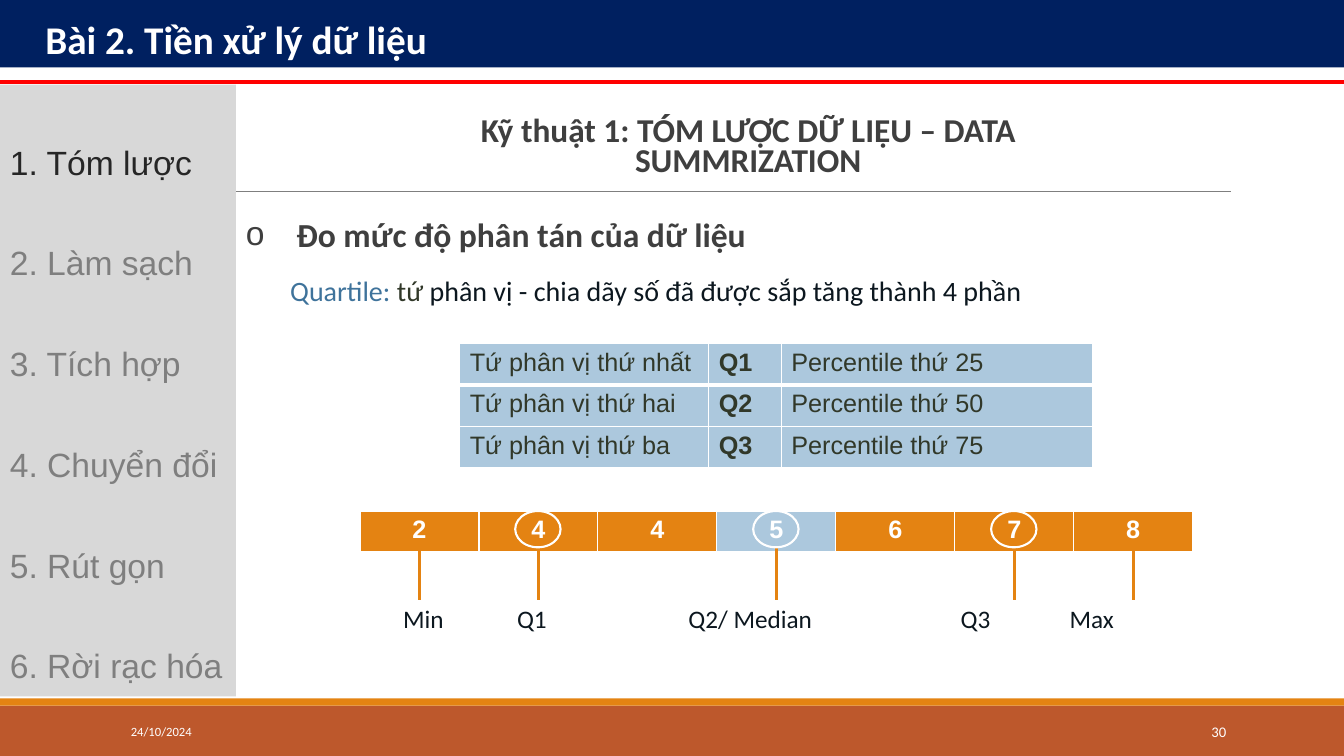
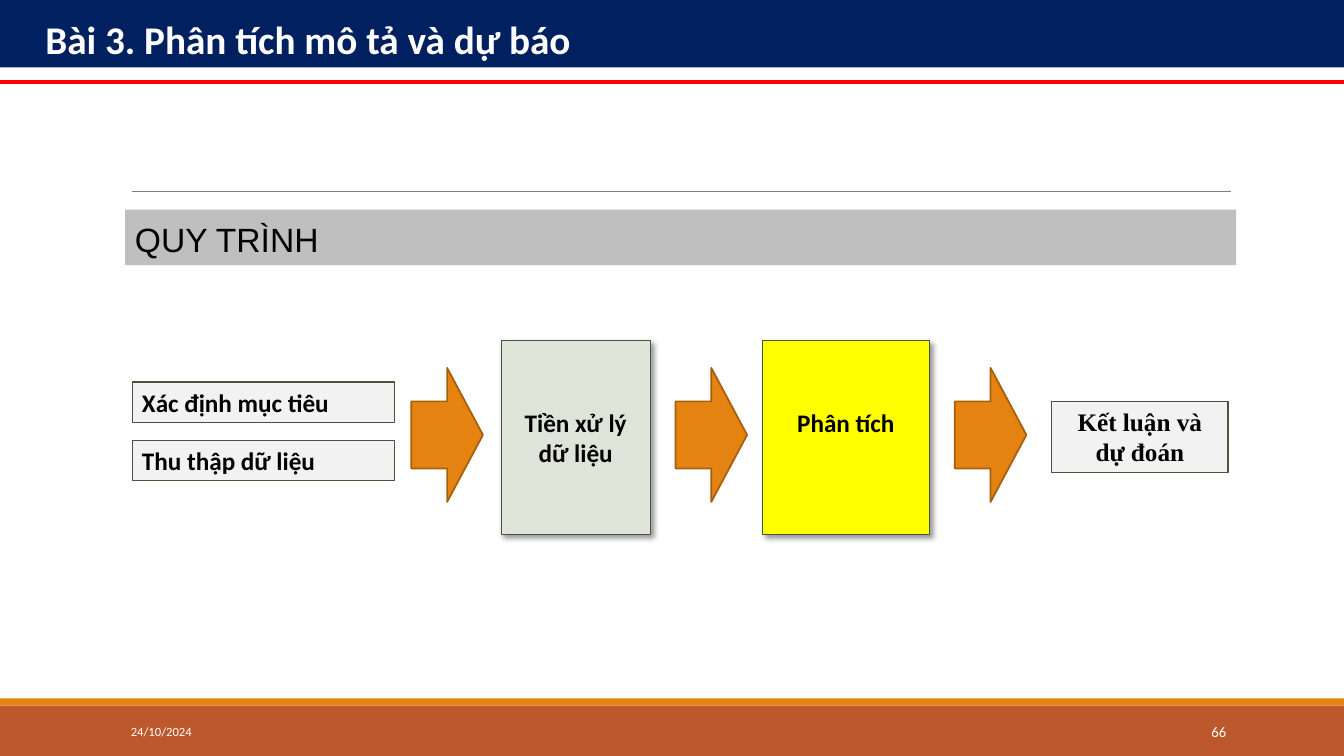
import lxml.etree
import pptx
import pptx.dml.color
import pptx.enum.shapes
import pptx.enum.text
import pptx.oxml.ns
import pptx.util

Inches = pptx.util.Inches
Pt = pptx.util.Pt
qn = pptx.oxml.ns.qn
ALIGN = pptx.enum.text.PP_ALIGN
ANCHOR = pptx.enum.text.MSO_ANCHOR
SHAPE = pptx.enum.shapes.MSO_SHAPE

COLORS = {
    "navy": "002060", "red": "FF0000", "rust": "BD582C", "orange": "E48312",
    "brown": "A65F0D", "white": "FFFFFF", "black": "000000", "charcoal": "3F3F3F",
    "ink": "262626", "gray": "7F7F7F", "sidebar": "D8D8D8", "band": "BFBFBF",
    "pale": "F2F2F2", "sage": "DFE4D9", "yellow": "FFFF00", "olive": "4A533D",
    "blue": "3F739B", "moss": "313829", "midnight": "0C171F", "sky": "ACC8DD",
}


def rgb(name):
    return pptx.dml.color.RGBColor.from_string(COLORS[name])


def add_node(parent, tag, **attributes):
    return lxml.etree.SubElement(parent, qn(tag), attributes)


class Deck:
    width, height = 13.33, 7.5

    def __init__(self):
        self.presentation = pptx.Presentation()
        self.presentation.slide_width = Inches(self.width)
        self.presentation.slide_height = Inches(self.height)
        self.slide = None

    def start_slide(self, title, number):
        layout = self.presentation.slide_layouts[6]
        self.slide = self.presentation.slides.add_slide(layout)
        self.box(0, 7, self.width, 0.5, "rust")
        self.box(0, 6.93, self.width, 0.07, "orange")
        self.line(1.31, 1.9, 12.21, 1.9, "gray", 0.75)
        self.line(0, 0.81, self.width, 0.81, "red", 3)
        banner = self.box(0, 0, self.width, 0.67, "navy")
        self.fill_text(banner, [title], 28, "white", bold=True, anchor=ANCHOR.BOTTOM,
                       spacing=0.85, left_inset=0.45)
        self.text(1.2, 7.06, 2.7, 0.4, ["24/10/2024"], 9, "white", anchor=ANCHOR.MIDDLE)
        self.text(10.83, 7.06, 1.43, 0.4, [number], 10.5, "white",
                  anchor=ANCHOR.MIDDLE, align=ALIGN.RIGHT)

    def box(self, left, top, width, height, fill=None, outline=None, weight=0.75,
            kind=SHAPE.RECTANGLE, shadow=False):
        shape = self.slide.shapes.add_shape(
            kind, Inches(left), Inches(top), Inches(width), Inches(height))
        shape.shadow.inherit = False
        if fill:
            shape.fill.solid()
            shape.fill.fore_color.rgb = rgb(fill)
        else:
            shape.fill.background()
        if outline:
            shape.line.color.rgb = rgb(outline)
            shape.line.width = Pt(weight)
        else:
            shape.line.fill.background()
        if shadow:
            effects = shape.element.spPr.find(qn("a:effectLst"))
            outer = add_node(effects, "a:outerShdw", blurRad=str(Pt(4)), dist=str(Pt(3)),
                             dir="2700000", algn="tl", rotWithShape="0")
            color = add_node(outer, "a:srgbClr", val=COLORS["black"])
            add_node(color, "a:alpha", val="40000")
        return shape

    def line(self, x1, y1, x2, y2, color, weight):
        connector = self.slide.shapes.add_connector(
            pptx.enum.shapes.MSO_CONNECTOR.STRAIGHT,
            Inches(x1), Inches(y1), Inches(x2), Inches(y2))
        connector.line.color.rgb = rgb(color)
        connector.line.width = Pt(weight)
        add_node(connector.element.spPr, "a:effectLst")

    def text(self, left, top, width, height, paragraphs, size, color, **style):
        shape = self.slide.shapes.add_textbox(
            Inches(left), Inches(top), Inches(width), Inches(height))
        self.fill_text(shape, paragraphs, size, color, **style)

    def fill_text(self, shape, paragraphs, size, color, font="Calibri", bold=False,
                  align=ALIGN.LEFT, anchor=ANCHOR.TOP, spacing=1.0, space_before=0,
                  left_inset=0.1, top_inset=0.05, bullet=None):
        frame = shape.text_frame
        frame.word_wrap = True
        frame.vertical_anchor = anchor
        frame.margin_left, frame.margin_top = Inches(left_inset), Inches(top_inset)
        for index, content in enumerate(paragraphs):
            paragraph = frame.paragraphs[0] if index == 0 else frame.add_paragraph()
            paragraph.alignment = align
            paragraph.line_spacing = spacing
            if index:
                paragraph.space_before = Pt(space_before)
            if bullet:
                properties = paragraph._p.get_or_add_pPr()
                properties.set("marL", str(Inches(0.5)))
                properties.set("indent", str(-Inches(0.5)))
                add_node(properties, "a:buFont", typeface="Arial")
                add_node(properties, "a:buChar", char=bullet)
            runs = [(content, color)] if isinstance(content, str) else content
            for words, run_color in runs:
                self.add_run(paragraph, words, size, run_color, font, bold)

    def add_run(self, paragraph, words, size, color, font, bold):
        run = paragraph.add_run()
        run.text = words
        run.font.name = font
        run.font.size = Pt(size)
        run.font.bold = bold
        run.font.color.rgb = rgb(color)

    def table(self, left, top, widths, row_height, rows, color, align=ALIGN.LEFT):
        shape = self.slide.shapes.add_table(
            len(rows), len(widths), Inches(left), Inches(top),
            Inches(sum(widths)), Inches(row_height * len(rows)))
        table = shape.table
        table.first_row = table.horz_banding = False
        for column, width in zip(table.columns, widths):
            column.width = Inches(width)
        for row_index, row in enumerate(rows):
            for column_index, (words, fill, bold) in enumerate(row):
                cell = table.cell(row_index, column_index)
                self.add_borders(cell, top=3 if row_index == 1 else 1,
                                 bottom=3 if row_index == 0 else 1)
                cell.fill.solid()
                cell.fill.fore_color.rgb = rgb(fill)
                paragraph = cell.text_frame.paragraphs[0]
                paragraph.alignment = align
                self.add_run(paragraph, words, 18, color, "Arial", bold)

    def add_borders(self, cell, top, bottom):
        properties = cell._tc.get_or_add_tcPr()
        for side, weight in (("L", 1), ("R", 1), ("T", top), ("B", bottom)):
            border = add_node(properties, f"a:ln{side}", w=str(Pt(weight)))
            add_node(add_node(border, "a:solidFill"), "a:srgbClr", val=COLORS["white"])


def build_quartile_slide(deck):
    deck.start_slide("Bài 2. Tiền xử lý dữ liệu", "30")
    deck.text(3.73, 1.39, 7.38, 0.43, ["Kỹ thuật 1: TÓM LƯỢC DỮ LIỆU – DATA SUMMRIZATION"],
              23.8, "charcoal", bold=True, align=ALIGN.CENTER, anchor=ANCHOR.BOTTOM,
              spacing=0.75)
    steps = ["1. Tóm lược", "2. Làm sạch", "3. Tích hợp", "4. Chuyển đổi",
             "5. Rút gọn", "6. Rời rạc hóa"]
    step_runs = [[(step, "gray" if index else "ink")] for index, step in enumerate(steps)]
    deck.fill_text(deck.box(0, 0.84, 2.34, 6.07, "sidebar"), step_runs, 24, "gray",
                   font="Arial", align=ALIGN.JUSTIFY, spacing=2.29, space_before=6)
    deck.text(2.34, 2.14, 7.38, 0.43, ["Đo mức độ phân tán của dữ liệu"], 24, "charcoal",
              bold=True, anchor=ANCHOR.BOTTOM, spacing=0.85, bullet="o")
    definition = [("Quartile: ", "blue"), ("tứ ", "moss"),
                  ("phân vị - chia dãy số đã được sắp tăng thành 4 phần", "midnight")]
    deck.text(2.78, 2.67, 8.83, 0.43, [definition], 20, "midnight",
              anchor=ANCHOR.BOTTOM, spacing=0.85)

    quartiles = [(f"Tứ phân vị thứ {name}", f"Q{rank}", f"Percentile thứ {25 * rank}")
                 for rank, name in enumerate(("nhất", "hai", "ba"), 1)]
    deck.table(4.56, 3.41, [2.47, 0.72, 3.09], 0.41,
               [[(words, "sky", index == 1) for index, words in enumerate(row)]
                for row in quartiles], "moss")

    values = (2, 4, 4, 5, 6, 7, 8)
    left, top, cell_width = 3.57, 5.07, 1.18
    deck.table(left, top, [cell_width] * len(values), 0.41,
               [[(str(value), "sky" if value == 5 else "orange", True)
                 for value in values]], "white", ALIGN.CENTER)
    marks = [(0, "Min", 3.9, False), (1, "Q1", 5.03, True), (3, "Q2/ Median", 6.73, True),
             (5, "Q3", 9.43, True), (6, "Max", 10.51, False)]
    for position, label, label_left, circled in marks:
        center = left + cell_width * (position + 0.5)
        deck.line(center, 5.44, center, 5.95, "orange", 2.25)
        deck.text(label_left, 5.91, 1.6, 0.43, [label], 18, "midnight",
                  anchor=ANCHOR.BOTTOM, spacing=0.85)
        if circled:
            deck.box(center - 0.23, top, 0.45, 0.36, outline="white", weight=1.5,
                     kind=SHAPE.OVAL)


def build_process_slide(deck):
    deck.start_slide("Bài 3. Phân tích mô tả và dự báo", "66")
    deck.fill_text(deck.box(1.24, 2.08, 11.02, 0.55, "band"), ["QUY TRÌNH"], 24, "black",
                   font="Arial", align=ALIGN.JUSTIFY, spacing=1.1)
    for top, label in ((3.79, "Xác định mục tiêu"), (4.37, "Thu thập dữ liệu")):
        deck.fill_text(deck.box(1.31, top, 2.6, 0.4, "pale", "olive"), [label], 18,
                       "black", bold=True)
    stages = [(4.97, 1.48, "sage", "Tiền xử lý dữ liệu"), (7.56, 1.66, "yellow", "Phân tích")]
    for left, width, fill, label in stages:
        stage = deck.box(left, 3.38, width, 1.92, fill, "olive", shadow=True)
        deck.fill_text(stage, [label], 18, "black", bold=True, align=ALIGN.CENTER,
                       top_inset=0.66)
    conclusion = deck.box(10.43, 3.98, 1.75, 0.71, "pale", "olive")
    deck.fill_text(conclusion, ["Kết luận và dự đoán"], 18, "black",
                   font="Times New Roman", bold=True, align=ALIGN.CENTER)
    for left in (4.08, 6.7, 9.47):
        deck.box(left, 3.65, 0.71, 1.33, "orange", "brown", 1.25, SHAPE.RIGHT_ARROW)


def main():
    deck = Deck()
    build_quartile_slide(deck)
    build_process_slide(deck)
    deck.presentation.save("out.pptx")


if __name__ == "__main__":
    main()
